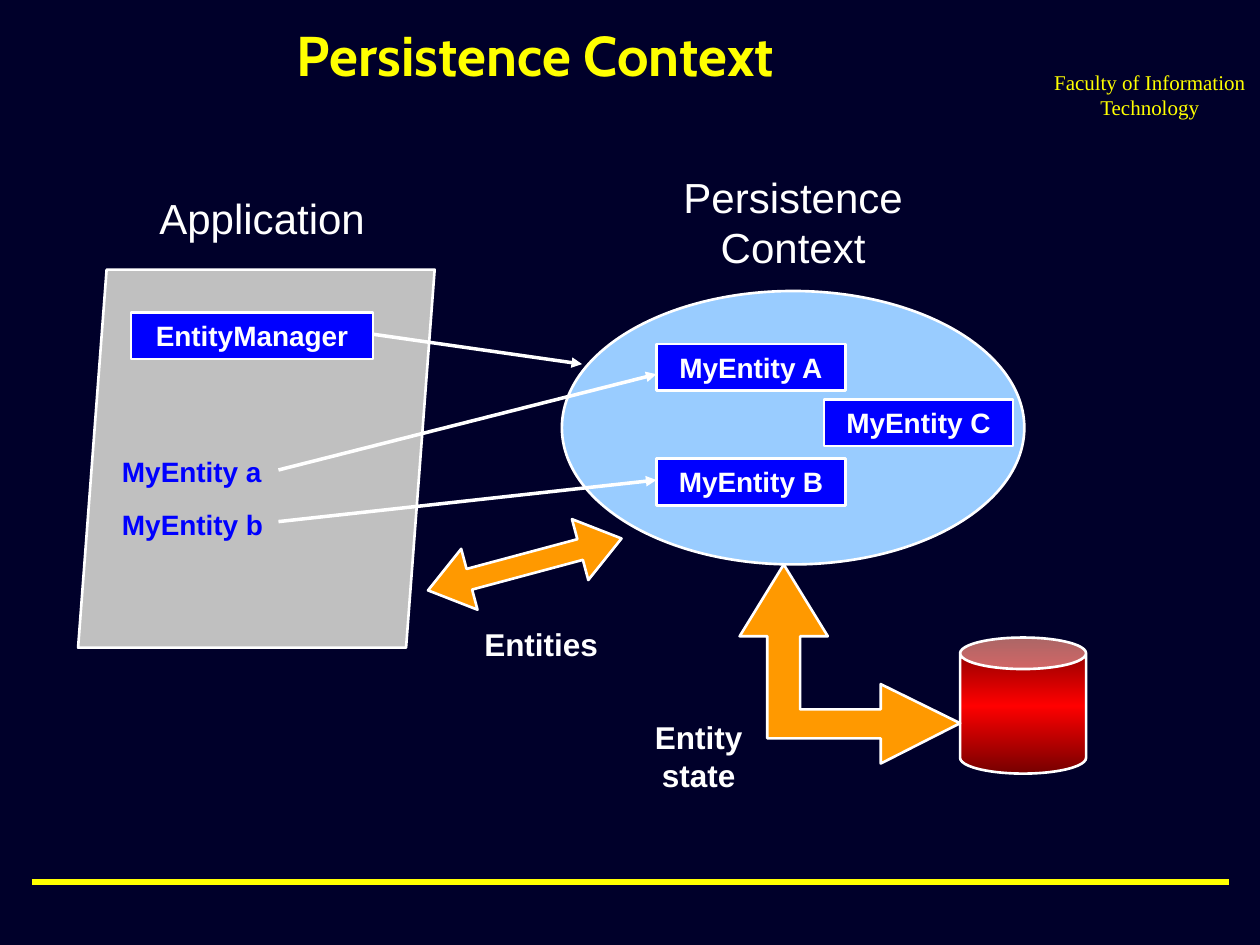
"""Build the Persistence Context slide: application, entities and database."""
import copy

import pptx
import pptx.dml.color
import pptx.enum.shapes
import pptx.enum.text
import pptx.oxml.ns
import pptx.oxml.xmlchemy
import pptx.util

Inches = pptx.util.Inches
Pt = pptx.util.Pt
RGB = pptx.dml.color.RGBColor.from_string
SHAPE = pptx.enum.shapes.MSO_SHAPE
ALIGN = pptx.enum.text.PP_ALIGN
ANCHOR = pptx.enum.text.MSO_ANCHOR
qn = pptx.oxml.ns.qn
new_element = pptx.oxml.xmlchemy.OxmlElement

COLORS = {
    "navy": "00002A", "yellow": "FFFF00", "white": "FFFFFF", "blue": "0000FF",
    "sky": "99CCFF", "gray": "C0C0C0", "orange": "FF9900",
    "red": "FF0000", "maroon": "750000",
}


def write_text(box, text, size, color, font="Arial", bold=False, align=ALIGN.CENTER):
    frame = box.text_frame
    frame.word_wrap = True
    frame.text = text
    paragraph = frame.paragraphs[0]
    paragraph.alignment = align
    span = paragraph.runs[0].font
    span.name, span.size, span.bold = font, Pt(size), bold
    span.color.rgb = RGB(COLORS[color])


def paint(shape, color):
    shape.shadow.inherit = False
    shape.fill.solid()
    shape.fill.fore_color.rgb = RGB(COLORS[color])
    shape.line.color.rgb = RGB(COLORS["white"])
    shape.line.width = Pt(1.5)


deck = pptx.Presentation()
deck.slide_width, deck.slide_height = Inches(10), Inches(7.5)
page = deck.slides.add_slide(deck.slide_layouts[5])
page.background.fill.solid()
page.background.fill.fore_color.rgb = RGB(COLORS["navy"])
shapes = page.shapes

title = shapes.title
title.left, title.top, title.width, title.height = map(Inches, (0.25, 0, 8, 0.75))
write_text(title, "Persistence Context", 32, "yellow", "Cabin", True)
title.text_frame.vertical_anchor = ANCHOR.BOTTOM

context = shapes.add_shape(SHAPE.OVAL, *map(Inches, (4.46, 2.31, 3.67, 2.17)))
paint(context, "sky")

application = shapes.add_shape(SHAPE.PARALLELOGRAM, *map(Inches, (0.62, 2.14, 2.83, 3)))
application.adjustments[0] = 0.08
paint(application, "gray")

database = shapes.add_shape(SHAPE.CAN, *map(Inches, (7.62, 5.06, 1, 1.08)))
database.adjustments[0] = 0.25
paint(database, "red")
database.fill.gradient()
database.fill.gradient_angle = 270
stop_list = database.fill._fill._gradFill.find(qn("a:gsLst"))
stop_list.append(copy.deepcopy(stop_list[0]))
for stop, (position, color) in zip(
    database.fill.gradient_stops, [(0, "maroon"), (0.5, "red"), (1, "maroon")]
):
    stop.position = position
    stop.color.rgb = RGB(COLORS[color])

state_points = [
    (6.22, 4.48), (6.57, 5.05), (6.35, 5.05), (6.35, 5.63), (6.99, 5.63), (6.99, 5.43),
    (7.62, 5.74), (6.99, 6.06), (6.99, 5.86), (6.09, 5.86), (6.09, 5.05), (5.87, 5.05),
]
state_points = [(Inches(x), Inches(y)) for x, y in state_points]
builder = shapes.build_freeform(*state_points[0])
builder.add_line_segments(state_points[1:], close=True)
paint(builder.convert_to_shape(), "orange")

entities_arrow = shapes.add_shape(
    SHAPE.LEFT_RIGHT_ARROW, *map(Inches, (3.37, 4.23, 1.59, 0.5))
)
entities_arrow.adjustments[0] = 0.34
entities_arrow.adjustments[1] = 0.68
entities_arrow.rotation = 345
paint(entities_arrow, "orange")

for start_x, start_y, end_x, end_y, color, width, has_arrow in [
    (0.25, 7, 9.75, 7, "yellow", 3, False),
    (2.87, 2.64, 4.62, 2.89, "white", 2, True),
    (2.21, 3.73, 5.21, 2.97, "white", 2, True),
    (2.21, 4.14, 5.21, 3.81, "white", 2, True),
]:
    line = shapes.add_connector(
        pptx.enum.shapes.MSO_CONNECTOR.STRAIGHT,
        *map(Inches, (start_x, start_y, end_x, end_y)),
    )
    line.line.color.rgb = RGB(COLORS[color])
    line.line.width = Pt(width)
    properties = line._element.spPr
    properties.append(new_element("a:effectLst"))
    if has_arrow:
        arrowhead = new_element("a:tailEnd")
        arrowhead.set("type", "triangle")
        properties.find(qn("a:ln")).append(arrowhead)

for text, left, top, width in [
    ("MyEntity A", 5.21, 2.73, 1.5),
    ("MyEntity B", 5.21, 3.64, 1.5),
    ("MyEntity C", 6.54, 3.17, 1.5),
    ("EntityManager", 1.04, 2.48, 1.92),
]:
    box = shapes.add_shape(SHAPE.RECTANGLE, *map(Inches, (left, top, width, 0.37)))
    paint(box, "blue")
    write_text(box, text, 16, "white", bold=True)
    box.text_frame.vertical_anchor = ANCHOR.TOP

for text, left, top, width, height, size, color, font, bold, align in [
    ("Faculty of Information Technology", 8.25, 0.5, 1.75, 0.5, 12, "yellow",
     "Times New Roman", False, ALIGN.CENTER),
    ("Application", 1.12, 1.48, 1.92, 0.5, 24, "white", "Arial", False, ALIGN.CENTER),
    ("Persistence Context", 5.21, 1.31, 2.17, 0.9, 24, "white", "Arial", False, ALIGN.CENTER),
    ("Entities", 3.67, 4.91, 1.25, 0.4, 18, "white", "Arial", True, ALIGN.CENTER),
    ("Entity state", 4.92, 5.65, 1.25, 0.7, 18, "white", "Arial", True, ALIGN.CENTER),
    ("MyEntity a", 0.87, 3.56, 2.33, 0.37, 16, "blue", "Arial", True, ALIGN.LEFT),
    ("MyEntity b", 0.87, 3.98, 2.33, 0.37, 16, "blue", "Arial", True, ALIGN.LEFT),
]:
    box = shapes.add_textbox(*map(Inches, (left, top, width, height)))
    write_text(box, text, size, color, font, bold, align)

deck.save("out.pptx")
